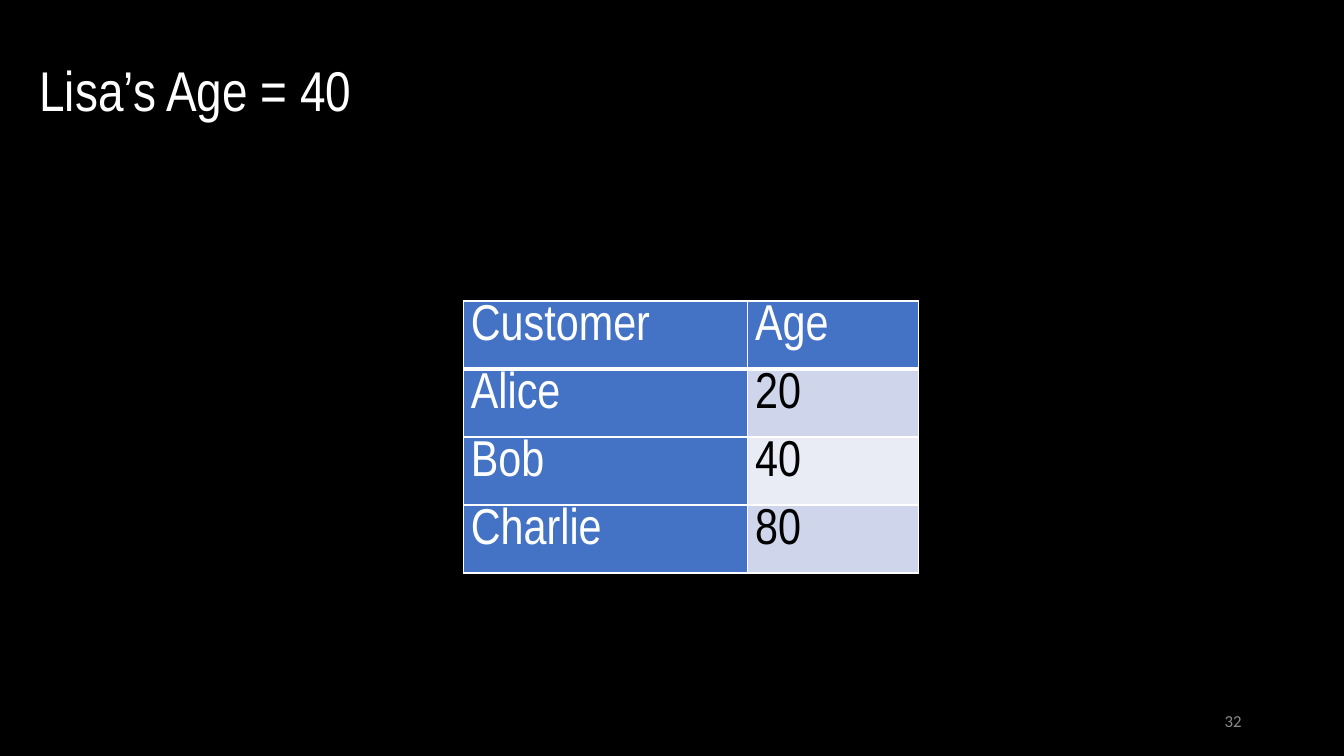
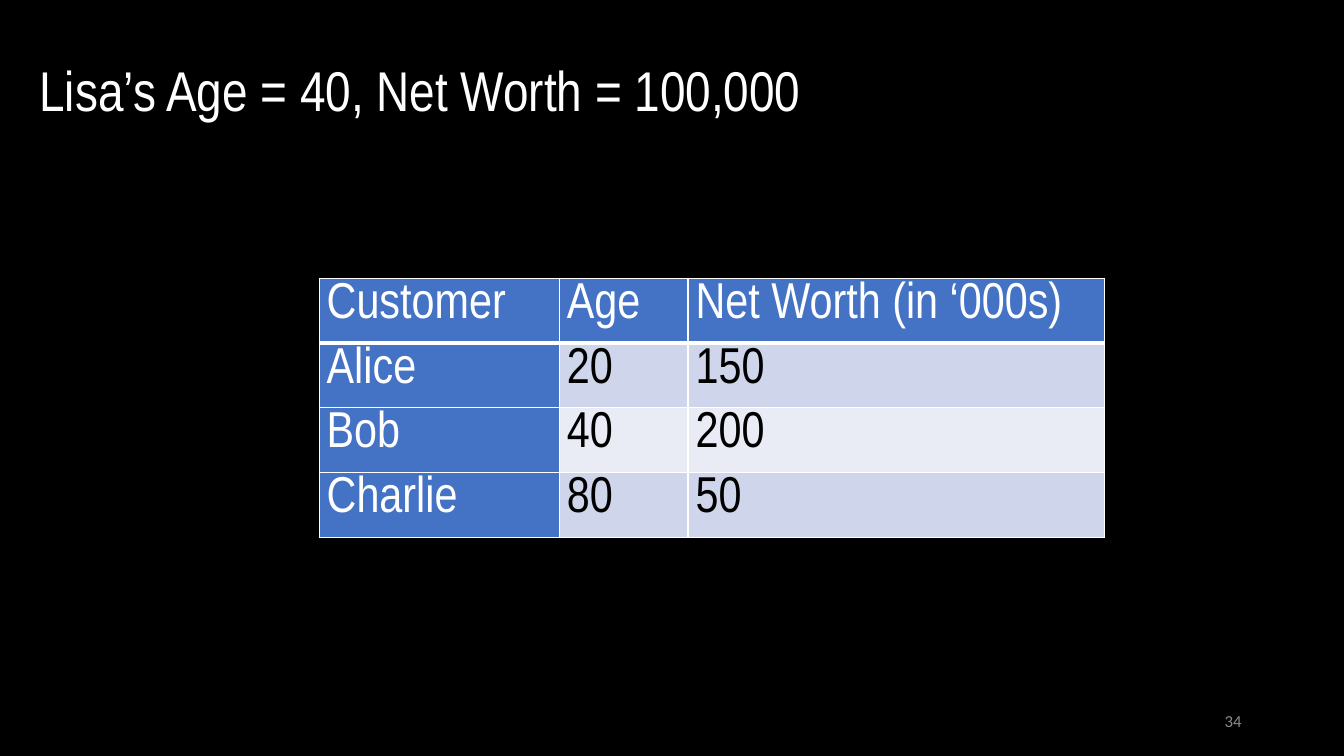
import pptx
import pptx.util
import pptx.dml.color
import pptx.enum.text
import pptx.oxml
import pptx.oxml.ns

Pt = pptx.util.Pt
ALIGN = pptx.enum.text.PP_ALIGN
ANCHOR = pptx.enum.text.MSO_ANCHOR

BLACK, WHITE, GREY = "000000", "FFFFFF", "8C8C8C"
BLUE, BANDS = "4472C4", ("CFD5EA", "E9EBF5")
FONT = "Arial Narrow"

PAGES = [
    {
        "title": "Lisa’s Age = 40",
        "number": "32",
        "left": 331, "top": 215, "height": 48.6,
        "widths": (203, 122),
        "rows": [("Customer", "Age"), ("Alice", "20"), ("Bob", "40"), ("Charlie", "80")],
    },
    {
        "title": "Lisa’s Age = 40, Net Worth = 100,000",
        "number": "34",
        "left": 228, "top": 199, "height": 46.2,
        "widths": (171.5, 92, 297.5),
        "rows": [
            ("Customer", "Age", "Net Worth (in ‘000s)"),
            ("Alice", "20", "150"),
            ("Bob", "40", "200"),
            ("Charlie", "80", "50"),
        ],
    },
]


def style(para, size, color, font=FONT):
    """Format every run of a paragraph."""
    for run in para.runs:
        run.font.size = Pt(size)
        run.font.name = font
        run.font.bold = False
        run.font.color.rgb = pptx.dml.color.RGBColor.from_string(color)


def border(cell, row):
    """Draw white cell edges, with a thick rule under the header row."""
    props = cell._tc.get_or_add_tcPr()
    thick = {("B", 0), ("T", 1)}
    for side in "LRTB":
        width = 3 if (side, row) in thick else 1
        props.append(pptx.oxml.parse_xml(
            f'<a:ln{side} {pptx.oxml.ns.nsdecls("a")} w="{Pt(width)}">'
            f'<a:solidFill><a:srgbClr val="{WHITE}"/></a:solidFill></a:ln{side}>'))


deck = pptx.Presentation()
deck.slide_width, deck.slide_height = Pt(960), Pt(540)
back = deck.slide_master.background.fill
back.solid()
back.fore_color.rgb = pptx.dml.color.RGBColor.from_string(BLACK)

for page in PAGES:
    slide = deck.slides.add_slide(deck.slide_layouts[5])

    title = slide.shapes.title
    title.left, title.top, title.width, title.height = Pt(21), Pt(36), Pt(574), Pt(55.5)
    frame = title.text_frame
    frame.text = page["title"]
    frame.word_wrap = True
    frame.auto_size = pptx.enum.text.MSO_AUTO_SIZE.NONE
    frame.vertical_anchor = ANCHOR.TOP
    frame.paragraphs[0].alignment = ALIGN.LEFT
    style(frame.paragraphs[0], 40, WHITE)

    rows, widths, height = page["rows"], page["widths"], page["height"]
    table = slide.shapes.add_table(
        len(rows), len(widths), Pt(page["left"]), Pt(page["top"]),
        Pt(sum(widths)), Pt(height * len(rows))).table
    table.first_row = table.horz_banding = False
    for col, width in enumerate(widths):
        table.columns[col].width = Pt(width)
    for r, texts in enumerate(rows):
        table.rows[r].height = Pt(height)
        for c, text in enumerate(texts):
            cell = table.cell(r, c)
            head = r == 0 or c == 0
            border(cell, r)
            cell.fill.solid()
            cell.fill.fore_color.rgb = pptx.dml.color.RGBColor.from_string(
                BLUE if head else BANDS[(r - 1) % 2])
            cell.margin_left = cell.margin_right = Pt(5.4)
            cell.margin_top = cell.margin_bottom = 0
            cell.text_frame.text = text
            para = cell.text_frame.paragraphs[0]
            para.line_spacing = 1.07
            style(para, 36, WHITE if head else BLACK)

    frame = slide.shapes.add_textbox(Pt(678), Pt(500.5), Pt(216), Pt(28.75)).text_frame
    frame.text = page["number"]
    frame.word_wrap = True
    frame.vertical_anchor = ANCHOR.MIDDLE
    frame.paragraphs[0].alignment = ALIGN.RIGHT
    style(frame.paragraphs[0], 12, GREY, "Calibri")

deck.save("out.pptx")
